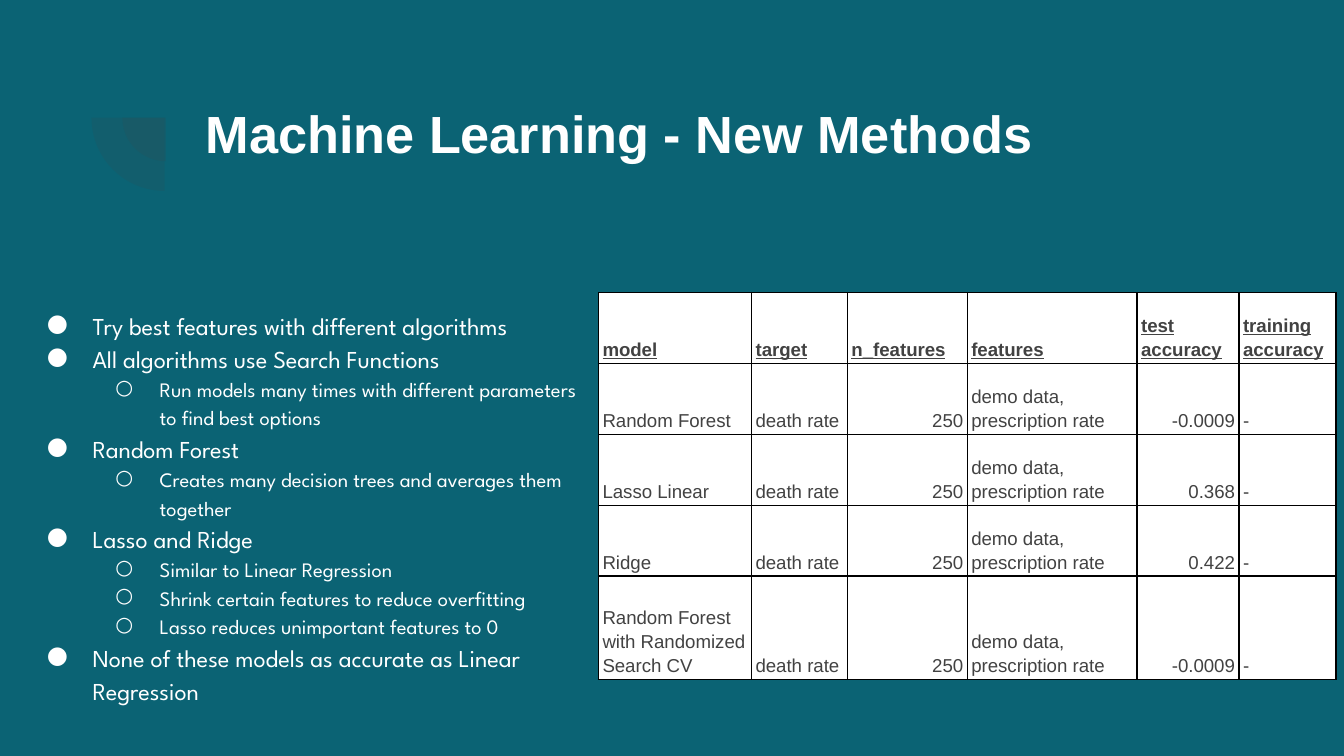
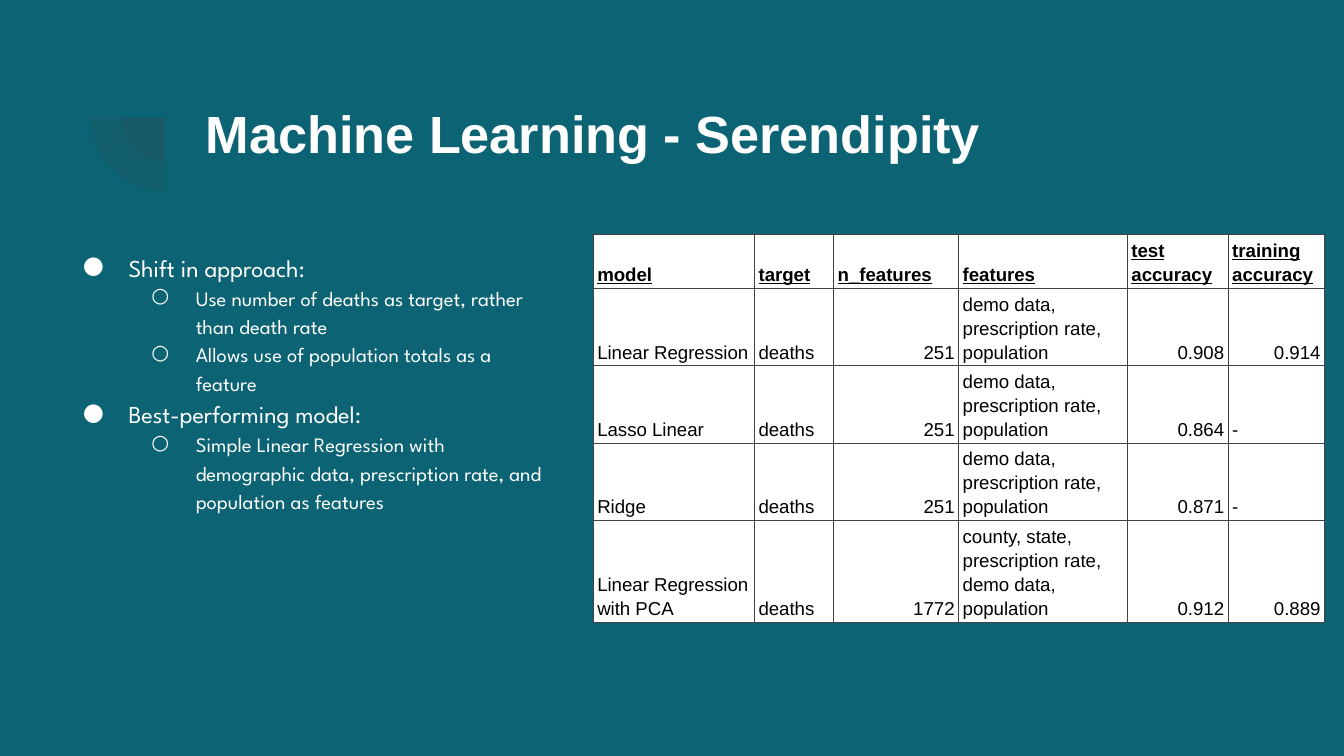
from dataclasses import dataclass

from lxml.etree import SubElement
from pptx import Presentation
from pptx.dml.color import RGBColor
from pptx.enum.shapes import MSO_SHAPE
from pptx.enum.text import MSO_ANCHOR, MSO_AUTO_SIZE, PP_ALIGN
from pptx.oxml.ns import qn
from pptx.util import Pt


@dataclass(frozen=True)
class Theme:
    background: str = "0B6374"
    light: str = "FFFFFF"
    gray: str = "424242"
    black: str = "000000"
    heading_font: str = "Arial"
    body_font: str = "League Spartan"
    title_size: int = 28
    bullet_sizes: tuple = (13, 11)
    table_size: int = 10
    line_spacing: float = 1.15


theme = Theme()
bullet_marks = ("●", "○")
bullet_indents = ((36, -24.5), (72, -23.8))
pie_boxes = ((65.5, 39.6, 46.8), (49, 23.8, 78.5))
table_header = ("model", "target", "n_features", "features", "test accuracy", "training accuracy")
death_rate = ("death rate", "250", "demo data, prescription rate")
deaths = ("deaths", "251", "demo data, prescription rate, population")

slides = [
    {
        "title": "Machine Learning - New Methods",
        "body_box": (6.5, 157, 314, 230.4),
        "bullets": [
            (0, "Try best features with different algorithms"),
            (0, "All algorithms use Search Functions"),
            (1, "Run models many times with different parameters to find best options"),
            (0, "Random Forest"),
            (1, "Creates many decision trees and averages them together"),
            (0, "Lasso and Ridge"),
            (1, "Similar to Linear Regression"),
            (1, "Shrink certain features to reduce overfitting"),
            (1, "Lasso reduces unimportant features to 0"),
            (0, "None of these models as accurate as Linear Regression"),
        ],
        "table_corner": (320.6, 156.7),
        "columns": (82, 51.4, 64.2, 91, 54.6, 52),
        "row_heights": (38, 38, 38, 38, 55.3),
        "text_color": theme.gray,
        "border_color": theme.black,
        "rows": [
            ("Random Forest", *death_rate, "-0.0009", "-"),
            ("Lasso Linear", *death_rate, "0.368", "-"),
            ("Ridge", *death_rate, "0.422", "-"),
            ("Random Forest with Randomized Search CV", *death_rate, "-0.0009", "-"),
        ],
    },
    {
        "title": "Machine Learning - Serendipity",
        "body_box": (25.8, 126, 278, 252),
        "bullets": [
            (0, "Shift in approach:"),
            (1, "Use number of deaths as target, rather than death rate"),
            (1, "Allows use of population totals as a feature"),
            (0, "Best-performing model:"),
            (1, "Simple Linear Regression with demographic data, prescription rate, "
                "and population as features"),
        ],
        "table_corner": (317.8, 125.8),
        "columns": (86.4, 42.4, 67, 90.4, 54, 51.6),
        "row_heights": (25.2,) * 5,
        "text_color": theme.black,
        "border_color": theme.gray,
        "rows": [
            ("Linear Regression", *deaths, "0.908", "0.914"),
            ("Lasso Linear", *deaths, "0.864", "-"),
            ("Ridge", *deaths, "0.871", "-"),
            ("Linear Regression with PCA", "deaths", "1772",
             "county, state, prescription rate, demo data, population", "0.912", "0.889"),
        ],
    },
]


def style_paragraph(paragraph, font_name, size, color, bold=False, underline=False):
    font = paragraph.font
    font.name = font_name
    font.size = Pt(size)
    font.bold = bold
    font.underline = underline
    font.color.rgb = RGBColor.from_string(color)


def add_solid_fill(parent, color):
    fill = SubElement(parent, qn("a:solidFill"))
    return SubElement(fill, qn("a:srgbClr"), val=color)


presentation = Presentation()
presentation.slide_width = Pt(720)
presentation.slide_height = Pt(405)
background = presentation.slide_master.background.fill
background.solid()
background.fore_color.rgb = RGBColor.from_string(theme.background)

for content in slides:
    slide = presentation.slides.add_slide(presentation.slide_layouts[5])

    for left, top, size in pie_boxes:
        pie = slide.shapes.add_shape(MSO_SHAPE.PIE, Pt(left), Pt(top), Pt(size), Pt(size))
        pie.adjustments[0] = 108
        pie.adjustments[1] = 162
        pie.rotation = 270
        pie.shadow.inherit = False
        pie.line.fill.background()
        pie.fill.solid()
        pie.fill.fore_color.rgb = RGBColor.from_string(theme.gray)
        pie_color = pie.fill._xPr.find(qn("a:solidFill"))[0]
        SubElement(pie_color, qn("a:alpha"), val="13000")

    title = slide.shapes.title
    title.left, title.top, title.width, title.height = Pt(103), Pt(46.8), Pt(553.7), Pt(78.5)
    title.text = content["title"]
    body = slide.shapes.add_textbox(*map(Pt, content["body_box"]))
    for frame in (title.text_frame, body.text_frame):
        frame.word_wrap = True
        frame.auto_size = MSO_AUTO_SIZE.NONE
        frame.vertical_anchor = MSO_ANCHOR.TOP
        frame.margin_left = frame.margin_right = Pt(7.2)
        frame.margin_top = frame.margin_bottom = Pt(7.2)
    paragraph = title.text_frame.paragraphs[0]
    paragraph.alignment = PP_ALIGN.LEFT
    style_paragraph(paragraph, theme.heading_font, theme.title_size, theme.light, bold=True)

    body.text_frame.text = "\n".join(text for level, text in content["bullets"])
    for paragraph, (level, text) in zip(body.text_frame.paragraphs, content["bullets"]):
        paragraph.level = level
        paragraph.line_spacing = theme.line_spacing
        properties = paragraph._p.get_or_add_pPr()
        margin, indent = bullet_indents[level]
        properties.set("marL", str(Pt(margin)))
        properties.set("indent", str(Pt(indent)))
        bullet_color = SubElement(properties, qn("a:buClr"))
        SubElement(bullet_color, qn("a:srgbClr"), val=theme.light)
        SubElement(properties, qn("a:buFont"), typeface=theme.body_font)
        SubElement(properties, qn("a:buChar"), char=bullet_marks[level])
        style_paragraph(paragraph, theme.body_font, theme.bullet_sizes[level], theme.light)

    rows = [table_header, *content["rows"]]
    table = slide.shapes.add_table(
        len(rows), len(table_header), *map(Pt, content["table_corner"]),
        Pt(sum(content["columns"])), Pt(sum(content["row_heights"])),
    ).table
    table.horz_banding = False
    for column, width in zip(table.columns, content["columns"]):
        column.width = Pt(width)
    for row, height in zip(table.rows, content["row_heights"]):
        row.height = Pt(height)

    for row_index, row in enumerate(rows):
        is_header = row_index == 0
        for column_index, text in enumerate(row):
            cell = table.cell(row_index, column_index)
            cell.text = text
            cell.vertical_anchor = MSO_ANCHOR.BOTTOM
            cell.margin_left = cell.margin_right = Pt(2.2)
            cell.margin_top = cell.margin_bottom = Pt(1.5)
            for side in ("a:lnL", "a:lnR", "a:lnT", "a:lnB"):
                border = SubElement(cell._tc.get_or_add_tcPr(), qn(side), w=str(Pt(0.75)))
                add_solid_fill(border, content["border_color"])
            cell.fill.solid()
            cell.fill.fore_color.rgb = RGBColor.from_string(theme.light)
            paragraph = cell.text_frame.paragraphs[0]
            paragraph.line_spacing = theme.line_spacing
            paragraph.alignment = PP_ALIGN.RIGHT if text[-1].isdigit() else PP_ALIGN.LEFT
            style_paragraph(paragraph, theme.heading_font, theme.table_size,
                            content["text_color"], bold=is_header, underline=is_header)

presentation.save("out.pptx")
